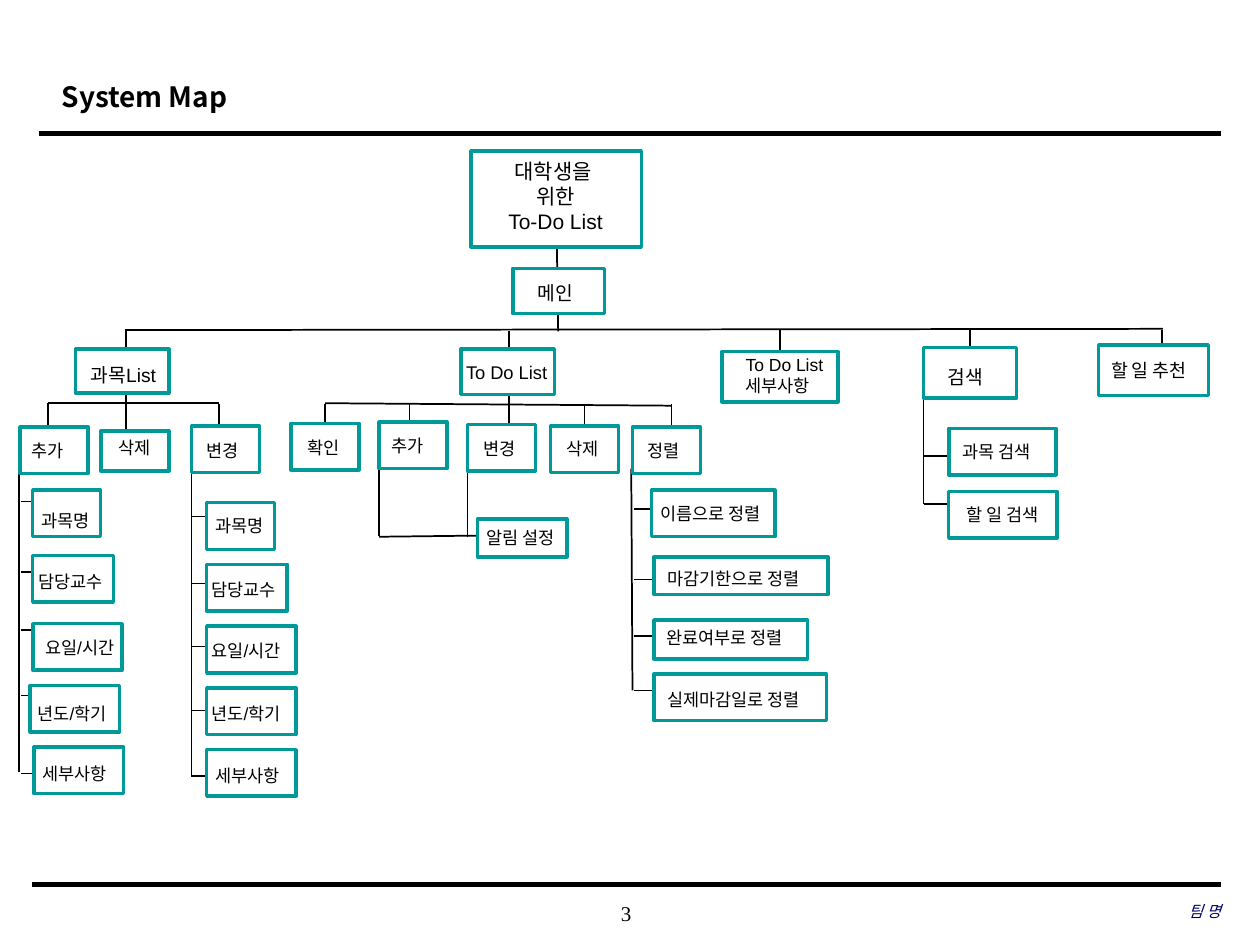
import pptx
import pptx.util
import pptx.dml.color
import pptx.enum.shapes
import pptx.enum.text
from dataclasses import dataclass
from lxml import etree

A = "http://schemas.openxmlformats.org/drawingml/2006/main"
ALIGN = pptx.enum.text.PP_ALIGN
ANCHOR = pptx.enum.text.MSO_ANCHOR


@dataclass(frozen=True)
class Theme:
    ink: str = "000000"
    paper: str = "FFFFFF"
    teal: str = "009999"
    navy: str = "000066"
    sans: str = "Arial"
    serif: str = "Times New Roman"
    hangul: str = "Noto Sans CJK KR"
    title: float = 16
    root: float = 12
    main: float = 11
    group: float = 10.5
    leaf: float = 10
    team: float = 9
    border: float = 2
    line: float = 1
    hair: float = 0.75


class Page:
    cols, rows = 1000, 750

    def __init__(self, prs, theme):
        self.prs, self.t = prs, theme
        self.s = prs.slides.add_slide(prs.slide_layouts[5])

    def x(self, col):
        return round(self.prs.slide_width * col / self.cols)

    def y(self, row):
        return round(self.prs.slide_height * row / self.rows)

    def area(self, x, y, w, h):
        return self.x(x), self.y(y), self.x(w), self.y(h)

    def rgb(self, value):
        return pptx.dml.color.RGBColor.from_string(value)

    def label(self, sp, text, size, font, color=None, align=ALIGN.LEFT, frame=None, **style):
        tf = sp.text_frame
        for name, value in {"word_wrap": True, **(frame or {})}.items():
            setattr(tf, name, value)
        for i, line in enumerate(text.split("\n")):
            p = tf.paragraphs[0] if i == 0 else tf.add_paragraph()
            p.alignment = align
            r = p.add_run()
            r.text = line
            for name, value in {"size": pptx.util.Pt(size), "name": font, **style}.items():
                setattr(r.font, name, value)
            r.font.color.rgb = self.rgb(color or self.t.ink)
            ea = etree.Element(f"{{{A}}}ea", typeface=self.t.hangul)
            r.font._element.find(f"{{{A}}}latin").addnext(ea)

    def title(self, text, *box):
        sp = self.s.shapes.title
        for name, value in zip(("left", "top", "width", "height"), self.area(*box)):
            setattr(sp, name, value)
        self.label(sp, text, self.t.title, self.t.hangul, bold=True,
                   frame={"vertical_anchor": ANCHOR.MIDDLE})
        sp.text_frame.paragraphs[0].line_spacing = 1.2

    def footer(self, text, box, size, align, color=None, **style):
        sp = self.s.shapes.add_textbox(*self.area(*box))
        frame = dict.fromkeys(("margin_left", "margin_right", "margin_top", "margin_bottom"), 0)
        frame["vertical_anchor"] = ANCHOR.MIDDLE
        self.label(sp, text, size, self.t.serif, color, align, frame, **style)

    def line(self, x1, y1, x2, y2, width=None):
        c = self.s.shapes.add_connector(pptx.enum.shapes.MSO_CONNECTOR.STRAIGHT,
                                        self.x(x1), self.y(y1), self.x(x2), self.y(y2))
        c.line.color.rgb = self.rgb(self.t.ink)
        c.line.width = pptx.util.Pt(width or self.t.line)
        etree.SubElement(c._element.spPr, f"{{{A}}}effectLst")

    def bus(self, start, end, drops):
        self.line(*start, *end)
        for x, top, bottom in drops:
            self.line(x, top, x, bottom)

    def spine(self, start, end, tick_start, tick_end, ticks, width=None):
        self.line(*start, *end, width)
        for y in ticks:
            self.line(tick_start, y, tick_end, y, width)

    def node(self, label, size, box, text, align=ALIGN.LEFT):
        sp = self.s.shapes.add_shape(pptx.enum.shapes.MSO_SHAPE.RECTANGLE, *self.area(*box))
        sp.shadow.inherit = False
        sp.fill.solid()
        sp.fill.fore_color.rgb = self.rgb(self.t.paper)
        sp.line.color.rgb = self.rgb(self.t.teal)
        sp.line.width = pptx.util.Pt(self.t.border)
        x, y, w = text
        h = 10 + 1.7 * size * (label.count("\n") + 1)
        tb = self.s.shapes.add_textbox(*self.area(x, y, w, h))
        self.label(tb, label, size, self.t.sans, align=align,
                   frame={"auto_size": pptx.enum.text.MSO_AUTO_SIZE.SHAPE_TO_FIT_TEXT})


prs = pptx.Presentation()
prs.slide_width, prs.slide_height = pptx.util.Inches(10), pptx.util.Inches(7.5)
t = Theme()
page = Page(prs, t)

page.title("System Map", 39, 49, 755, 50)
page.line(31, 106, 969, 106, 2.5)
page.line(25, 702, 969, 702, 3)
page.footer("3", (393, 708, 208, 33), t.root, ALIGN.CENTER)
page.footer("팀 명", (663, 707, 306, 33), t.team, ALIGN.RIGHT, t.navy, italic=True)

page.line(442, 196, 443, 263)
page.bus((100, 262), (923, 261),
         [(100, 261, 363), (404, 263, 370), (619, 261, 280), (770, 261, 276), (922, 262, 276)])
page.bus((38, 320), (174, 320), [(38, 320, 362), (174, 321, 363)])
page.bus((258, 320), (533, 322),
         [(258, 321, 363), (325, 320, 362), (464, 322, 364), (533, 321, 363)])
page.spine((15, 373), (15, 613), 17, 43, (398, 454, 500, 552, 614), t.hair)
page.spine((152, 371), (152, 617), 152, 189, (410, 463, 513, 564, 616))
page.spine((501, 372), (502, 548), 503, 537, (404, 460, 505, 548))
page.spine((733, 317), (733, 400), 733, 761, (362, 400))
page.bus((301, 426), (387, 425), [(301, 370, 425), (371, 371, 426)])

page.node("대학생을 \n위한\nTo-Do List", t.root, (374, 120, 135, 76), (383, 121, 116), ALIGN.CENTER)

nodes = {
    t.main: [
        ("메인", (407, 213, 73, 36), (417, 218, 90)),
        ("과목List", (60, 277, 74, 35), (62, 283, 82)),
        ("검색", (733, 276, 74, 40), (742, 285, 74)),
    ],
    t.group: [
        ("To Do List", (366, 277, 74, 36), (360, 282, 99)),
        ("할 일 추천", (872, 274, 87, 40), (872, 280, 93)),
    ],
    t.leaf: [
        ("To Do List\n세부사항", (573, 279, 92, 40), (582, 276, 114)),
        ("추가", (16, 339, 54, 37), (15, 344, 66)),
        ("삭제", (80, 342, 54, 32), (84, 342, 66)),
        ("변경", (152, 338, 54, 37), (154, 344, 66)),
        ("확인", (231, 336, 54, 37), (234, 342, 61)),
        ("추가", (301, 335, 54, 37), (301, 340, 61)),
        ("변경", (371, 337, 54, 37), (374, 343, 61)),
        ("삭제", (437, 338, 54, 37), (440, 343, 61)),
        ("정렬", (502, 339, 54, 37), (504, 344, 61)),
        ("알림 설정", (379, 412, 71, 30), (376, 413, 93)),
        ("이름으로 정렬", (517, 389, 98, 37), (514, 394, 115)),
        ("마감기한으로 정렬", (519, 442, 138, 30), (520, 446, 142)),
        ("완료여부로 정렬", (519, 492, 122, 31), (519, 493, 137)),
        ("실제마감일로 정렬", (519, 535, 137, 37), (520, 542, 141)),
        ("과목 검색", (753, 340, 85, 37), (754, 345, 122)),
        ("할 일 검색", (753, 390, 86, 37), (757, 395, 122)),
    ],
}
for size, group in nodes.items():
    for label, box, text in group:
        page.node(label, size, box, text)

fields = [
    ("과목명", 54, 91, (26, 389), (23, 400), (161, 404)),
    ("담당교수", 64, 77, (26, 441), (21, 448), (158, 455)),
    ("요일/시간", 71, 106, (26, 495), (26, 501), (158, 503)),
    ("년도/학기", 71, 118, (24, 544), (20, 553), (158, 553)),
    ("세부사항", 71, 101, (27, 593), (24, 601), (161, 602)),
]
for i, (label, width, span, add_box, add_text, change_text) in enumerate(fields):
    page.node(label, t.leaf, (*add_box, width, 37), (*add_text, span))
    page.node(label, t.leaf, (164, 399 + 49 * i, width, 37), (*change_text, span))

prs.save("out.pptx")
